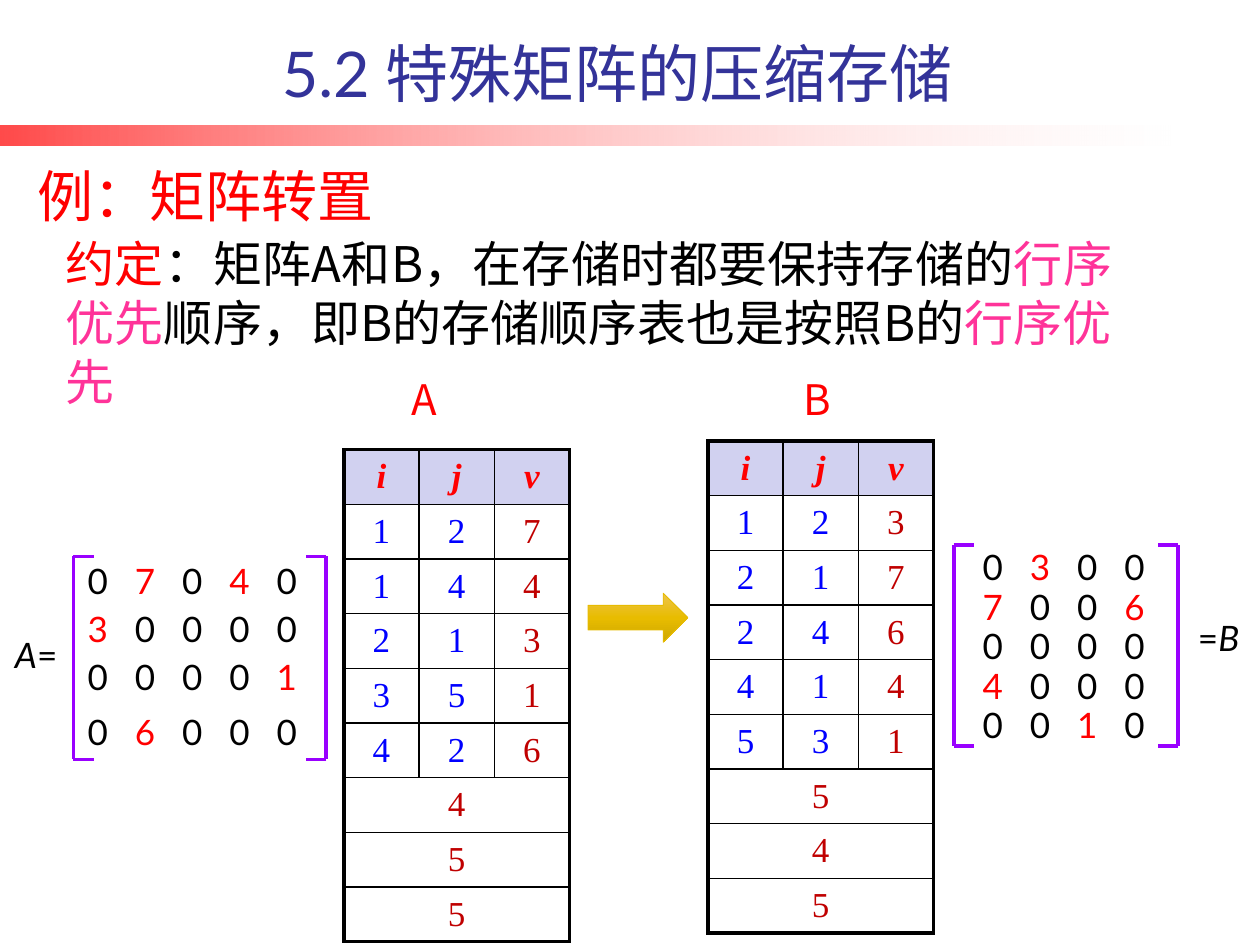
from dataclasses import dataclass

from lxml.etree import SubElement
from pptx import Presentation
from pptx.dml.color import RGBColor as RGB
from pptx.enum.shapes import MSO_CONNECTOR as CONNECTOR, MSO_SHAPE as SHAPE
from pptx.enum.text import MSO_ANCHOR as ANCHOR, PP_ALIGN as ALIGN
from pptx.oxml.ns import qn
from pptx.util import Pt


@dataclass(frozen=True)
class Theme:
    """Colours, fonts and type sizes of the slide."""
    title: str = "333399"
    red: str = "FF0000"
    pink: str = "FF3399"
    black: str = "000000"
    blue: str = "0000FF"
    dark_red: str = "C00000"
    header: str = "D1D1F0"
    bracket: str = "9900FF"
    gold: str = "E7BB01"
    rule_stops: tuple = ((0, "FF0000", 71), (100, "FFFFFF", 18))
    arrow_stops: tuple = ((0, "EEC44B", 100), (50, "E8BC00", 100), (100, "CEA700", 100))
    latin: str = "Lato"
    cjk: str = "Noto Sans CJK SC"
    serif: str = "Times New Roman"
    title_size: int = 36
    example_size: int = 32
    body_size: int = 28
    label_size: int = 24
    cell_size: int = 20
    thick: float = 2.25
    thin: float = 1


THEME = Theme()


def style_run(run, font, size, color, bold=False, italic=False):
    """Apply one look to a run, in Latin and East Asian script alike."""
    run.font.name, run.font.size = font, Pt(size)
    run.font.color.rgb = RGB.from_string(color)
    run.font.bold, run.font.italic = bold, italic
    east_asian = SubElement(run.font._element, qn("a:ea"))
    east_asian.set("typeface", THEME.cjk if font == THEME.latin else font)


def add_text(shapes, box, runs, font, size, align=ALIGN.LEFT, anchor=ANCHOR.TOP,
             wrap=True, leading=None):
    """Place one paragraph of (text, colour, italic) runs in a box."""
    frame = shapes.add_textbox(*map(Pt, box)).text_frame
    frame.word_wrap, frame.vertical_anchor = wrap, anchor
    paragraph = frame.paragraphs[0]
    paragraph.alignment = align
    if leading:
        paragraph.line_spacing = Pt(leading)
    for text, color, italic in runs:
        run = paragraph.add_run()
        run.text = text
        style_run(run, font, size, color, italic=italic)
    return frame


def fill_gradient(shape, stops, angle):
    """Fill a shape with (position, colour, opacity) stops."""
    shape.shadow.inherit = False
    shape.fill.gradient()
    shape.fill.gradient_angle = angle
    stop_list = shape._element.spPr.find(".//" + qn("a:gsLst"))
    for old_stop in list(stop_list):
        stop_list.remove(old_stop)
    for position, color, opacity in stops:
        stop = SubElement(stop_list, qn("a:gs"), pos=str(position * 1000))
        tint = SubElement(stop, qn("a:srgbClr"), val=color)
        if opacity < 100:
            SubElement(tint, qn("a:alpha"), val=str(opacity * 1000))


def add_heading(slide, left, top, width):
    """Draw the slide title and the fading rule under it."""
    rule = slide.shapes.add_shape(SHAPE.RECTANGLE, *map(Pt, (left, top + 56, width, 11.5)))
    fill_gradient(rule, THEME.rule_stops, 0)
    rule.line.fill.background()
    add_text(slide.shapes, (left + 46, top, 613.5, 51), [("5.2 特殊矩阵的压缩存储", THEME.title, False)],
             THEME.latin, THEME.title_size, ALIGN.CENTER, ANCHOR.BOTTOM)


def add_convention(slide, left, top):
    """Write the example heading and the storage convention below it."""
    add_text(slide.shapes, (left, top, 232.5, 46), [("例：矩阵转置", THEME.red, False)],
             THEME.cjk, THEME.example_size, ALIGN.JUSTIFY, leading=1.2 * THEME.example_size)
    convention = [
        ("约定", THEME.red, False),
        ("：矩阵A和B，在存储时都要保持存储的", THEME.black, False),
        ("行序优先", THEME.pink, False),
        ("顺序，即B的存储顺序表也是按照B的", THEME.black, False),
        ("行序优先", THEME.pink, False),
    ]
    add_text(slide.shapes, (left + 16, top + 41, 612, 108.5), convention, THEME.cjk,
             THEME.body_size, ALIGN.JUSTIFY, ANCHOR.BOTTOM, leading=1.2 * THEME.body_size)


def set_borders(cell, outer_sides):
    """Rule all four sides of a cell, thick where the side is outer."""
    for side in "LRTB":
        width = THEME.thick if side in outer_sides else THEME.thin
        edge = SubElement(cell._tc.get_or_add_tcPr(), qn(f"a:ln{side}"), w=str(Pt(width)))
        SubElement(SubElement(edge, qn("a:solidFill")), qn("a:srgbClr"), val=THEME.black)


def add_triples(slide, left, top, name, name_left, triples, totals):
    """Tabulate the triples of a matrix, with its totals in merged rows."""
    add_text(slide.shapes, (name_left, 210, 27, 36), [(name, THEME.red, False)], THEME.cjk,
             THEME.label_size, wrap=False, leading=1.2 * THEME.label_size)
    rows = ["ijv", *triples, *totals]
    column_width, row_height = 43, 31.2
    table = slide.shapes.add_table(len(rows), 3, Pt(left), Pt(top), Pt(3 * column_width),
                                   Pt(len(rows) * row_height)).table
    table.first_row = table.horz_banding = False
    for column in table.columns:
        column.width = Pt(column_width)
    for r, values in enumerate(rows):
        table.rows[r].height = Pt(row_height)
        is_header, is_total = r == 0, len(values) == 1
        if is_total:
            table.cell(r, 0).merge(table.cell(r, 2))
        for c in range(3):
            cell = table.cell(r, c)
            outer = {"L": c == 0, "R": c == 2 or is_total, "T": is_header, "B": r == len(rows) - 1}
            set_borders(cell, [side for side, is_outer in outer.items() if is_outer])
            cell.fill.background()
            if is_header:
                cell.fill.solid()
                cell.fill.fore_color.rgb = RGB.from_string(THEME.header)
            cell.vertical_anchor = ANCHOR.MIDDLE
            if c < len(values):
                cell.text_frame.text = values[c]
                paragraph = cell.text_frame.paragraphs[0]
                paragraph.alignment = ALIGN.CENTER
                value_color = THEME.dark_red if is_total or c == 2 else THEME.blue
                style_run(paragraph.runs[0], THEME.serif, THEME.cell_size,
                          THEME.red if is_header else value_color, is_header, is_header)


def add_line(shapes, start, end):
    """Draw one stroke of a bracket."""
    line = shapes.add_connector(CONNECTOR.STRAIGHT, *map(Pt, (*start, *end)))
    line.line.color.rgb = RGB.from_string(THEME.bracket)
    line.line.width = Pt(THEME.thick)
    SubElement(line._element.spPr, qn("a:effectLst"))


def add_matrix(slide, box, rows, row_tops, indent, label, label_box):
    """Write a bracketed matrix, non-zero entries in red, and its label."""
    left, top, width, height = box
    right, bottom, tick, pitch = left + width, top + height, 11.5, 27
    shapes = slide.shapes.add_group_shape().shapes
    add_text(shapes, label_box, label, THEME.latin, THEME.cell_size)
    for row, row_top in zip(rows, row_tops):
        entries = [("\t" * (c > 0) + digit, THEME.black if digit == "0" else THEME.red, False)
                   for c, digit in enumerate(row)]
        frame = add_text(shapes, (left + indent, top + row_top, pitch * len(row), 24.5),
                         entries, THEME.latin, THEME.cell_size)
        frame.margin_left = frame.margin_right = frame.margin_top = frame.margin_bottom = 0
        stops = SubElement(frame.paragraphs[0]._p.get_or_add_pPr(), qn("a:tabLst"))
        for c in range(1, len(row)):
            SubElement(stops, qn("a:tab"), pos=str(Pt(c * pitch)), algn="l")
    for spine, tip in ((left, left + tick), (right, right - tick)):
        add_line(shapes, (spine, top), (spine, bottom))
        for y in (top, bottom):
            add_line(shapes, (spine, y), (tip, y))


def add_transpose_arrow(slide, left, top, width, height):
    """Draw the arrow from the first table to the second."""
    arrow = slide.shapes.add_shape(SHAPE.RIGHT_ARROW, *map(Pt, (left, top, width, height)))
    fill_gradient(arrow, THEME.arrow_stops, 270)
    arrow.line.color.rgb = RGB.from_string(THEME.gold)
    arrow.line.width = Pt(0.5)


def main():
    """Build the matrix transposition slide."""
    deck = Presentation()
    deck.slide_width, deck.slide_height = Pt(720), Pt(540)
    slide = deck.slides.add_slide(deck.slide_layouts[6])
    add_heading(slide, 0, 15.5, 669)
    add_convention(slide, 14.5, 88.5)
    add_transpose_arrow(slide, 336, 339, 57, 28)
    add_triples(slide, 196.5, 257, "A", 228, ["127", "144", "213", "351", "426"], "455")
    add_triples(slide, 404.5, 252, "B", 452, ["123", "217", "246", "414", "531"], "545")
    add_matrix(slide, (42, 318, 144.5, 116), ["07040", "30000", "00001", "06000"],
               [1.5, 29, 56.5, 88], 8, [("A", THEME.black, True), ("=", THEME.black, False)],
               (1.5, 358.5, 52, 31.5))
    add_matrix(slide, (545, 311.5, 128, 115), ["0300", "7006", "0000", "4000", "0010"],
               [0.5 + 22.5 * r for r in range(5)], 16.5,
               [("=", THEME.black, False), ("B", THEME.black, True)], (677.5, 349, 44.5, 31.5))
    deck.save("out.pptx")


if __name__ == "__main__":
    main()
